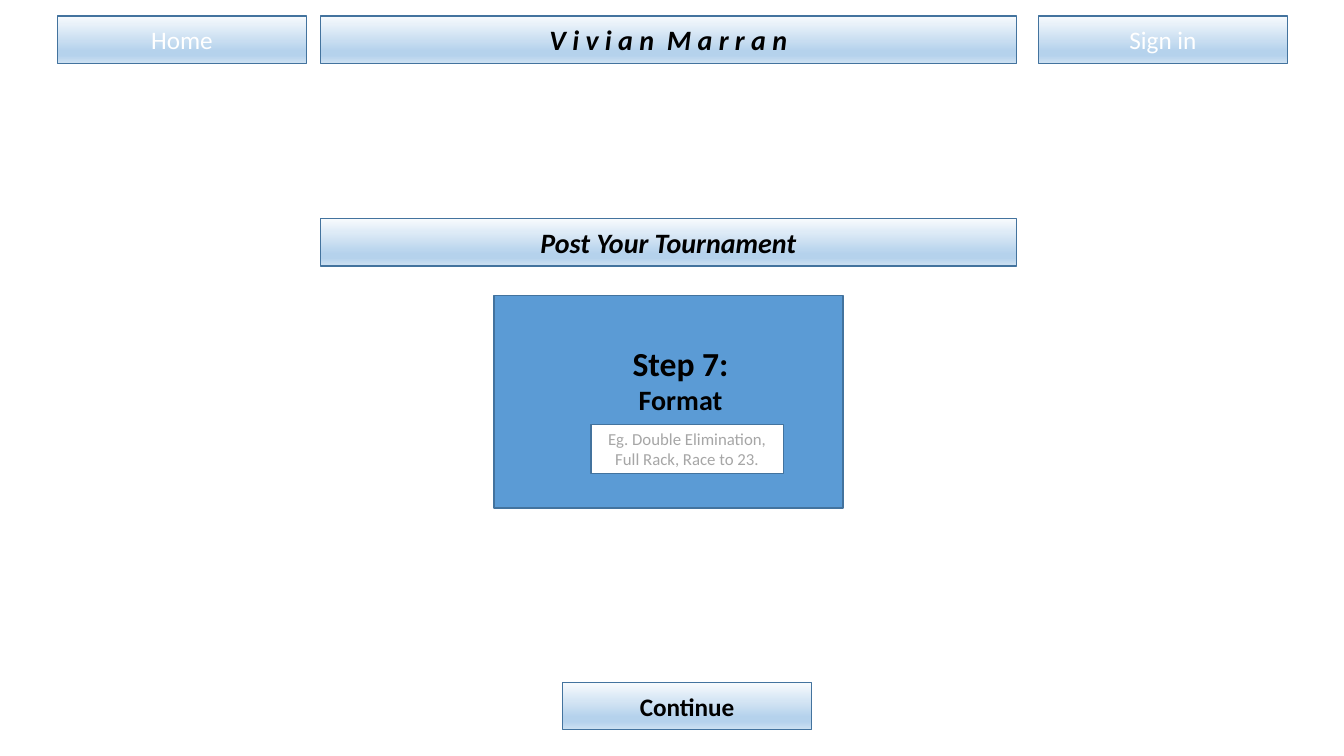
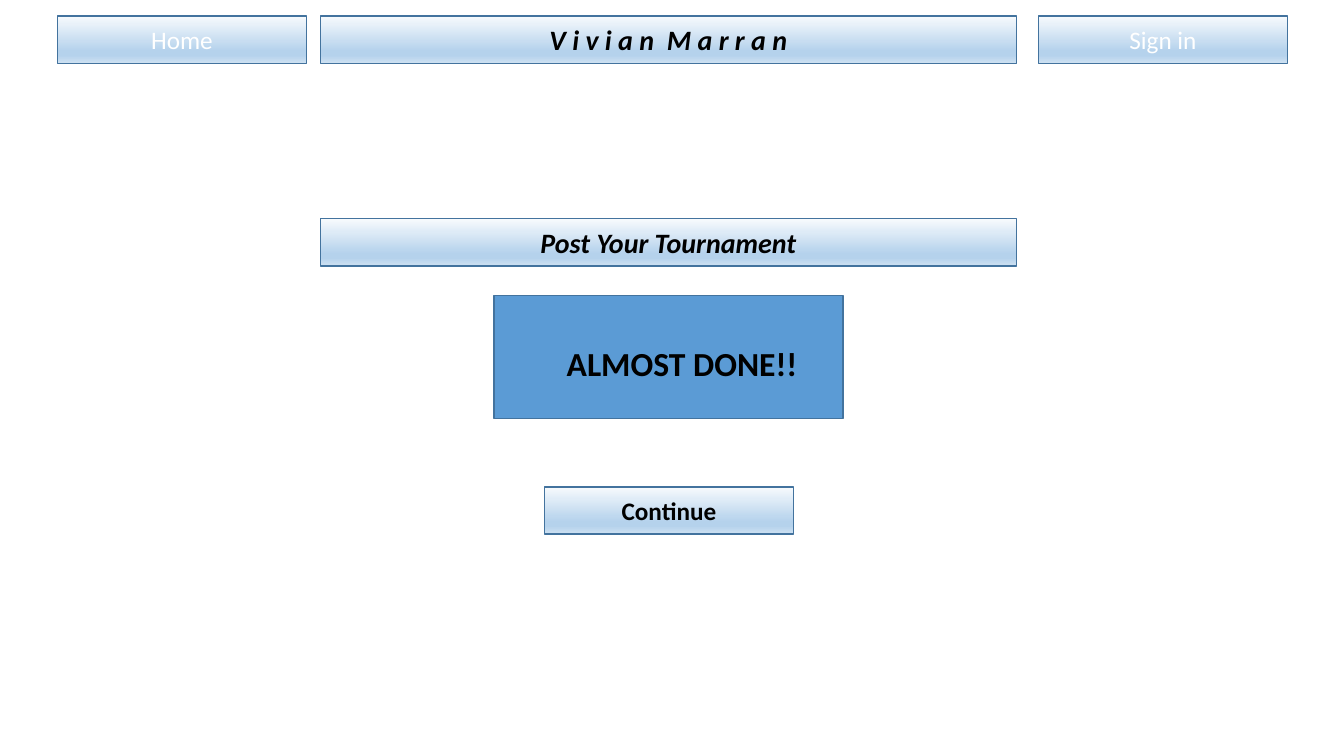
from lxml import etree
from pptx import Presentation
from pptx.dml.color import RGBColor
from pptx.enum.shapes import MSO_SHAPE
from pptx.enum.text import MSO_ANCHOR, MSO_AUTO_SIZE, PP_ALIGN
from pptx.oxml.ns import qn
from pptx.util import Inches, Pt

RECTANGLE = MSO_SHAPE.RECTANGLE
CENTER = PP_ALIGN.CENTER
MIDDLE, TOP = MSO_ANCHOR.MIDDLE, MSO_ANCHOR.TOP
GROW = MSO_AUTO_SIZE.SHAPE_TO_FIT_TEXT

FONT = "Calibri"
COLORS = {
    "panel": "5B9BD5",
    "border": "43739E",
    "white": "FFFFFF",
    "black": "000000",
    "hint": "A6A6A6",
}
BAR_GRADIENT = [(0, "F7FAFD"), (74, "B5D2EC"), (83, "B5D2EC"), (100, "CEE1F2")]

# Text styles: size, colour, bold, italic
STYLES = {
    "nav": (18, "white", False, False),
    "title": (20, "black", True, True),
    "button": (18, "black", True, False),
    "heading": (24, "black", True, False),
    "subheading": (20, "black", True, False),
    "hint": (12, "hint", False, False),
}

# Shared layout, in inches
BAR_HEIGHT = 0.47
BUTTON_WIDTH = 2.47
TITLE_LEFT, TITLE_WIDTH = 3.18, 6.9
HEADER_TOP, SECTION_TOP = 0.16, 2.17
PANEL_LEFT, PANEL_TOP, PANEL_WIDTH = 4.9, 2.93, 3.46
MESSAGE_TOP = 3.35

# Bars on every slide: text, style, left, top, width
SHARED_BARS = [
    ("Home", "nav", 0.57, HEADER_TOP, BUTTON_WIDTH),
    ("V i v i a n  M a r r a n", "title", TITLE_LEFT, HEADER_TOP, TITLE_WIDTH),
    ("Sign in", "nav", 10.3, HEADER_TOP, BUTTON_WIDTH),
    ("Post Your Tournament", "title", TITLE_LEFT, SECTION_TOP, TITLE_WIDTH),
]

# Message and hint positions: left, width, height / left, top, width, height
SLIDES = [
    {
        "panel_height": 2.11,
        "hint": ("Eg. Double Elimination, Full Rack, Race to 23.",
                 (5.86, 4.21, 1.91, 0.49)),
        "message": [("Step 7:", "heading"), ("Format", "subheading")],
        "message_box": (5.6, 2.3, 1.14),
        "continue_at": (5.58, 6.77),
    },
    {
        "panel_height": 1.22,
        "hint": None,
        "message": [("ALMOST DONE!!", "heading")],
        "message_box": (5.49, 2.55, 0.81),
        "continue_at": (5.4, 4.83),
    },
]


def color(name):
    return RGBColor.from_string(COLORS[name])


def write_text(shape, lines, anchor=MIDDLE):
    frame = shape.text_frame
    frame.word_wrap = True
    frame.vertical_anchor = anchor
    for index, (text, style) in enumerate(lines):
        paragraph = frame.add_paragraph() if index else frame.paragraphs[0]
        paragraph.alignment = CENTER
        run = paragraph.add_run()
        run.text = text
        size, color_name, bold, italic = STYLES[style]
        run.font.name = FONT
        run.font.size = Pt(size)
        run.font.bold = bold
        run.font.italic = italic
        run.font.color.rgb = color(color_name)


def add_box(slide, left, top, width, height, fill=None):
    shape = slide.shapes.add_shape(
        RECTANGLE, Inches(left), Inches(top), Inches(width), Inches(height))
    shape.shadow.inherit = False
    shape.line.color.rgb = color("border")
    shape.line.width = Pt(1)
    if fill:
        shape.fill.solid()
        shape.fill.fore_color.rgb = color(fill)
    return shape


def add_bar(slide, text, style, left, top, width):
    bar = add_box(slide, left, top, width, BAR_HEIGHT)
    bar.fill.gradient()
    bar.fill.gradient_angle = 270
    # Replace the default stops with the four of the bar
    stops = bar._element.spPr.find(".//" + qn("a:gsLst"))
    for stop in list(stops):
        stops.remove(stop)
    for percent, value in BAR_GRADIENT:
        stop = etree.SubElement(stops, qn("a:gs"), pos=str(percent * 1000))
        etree.SubElement(stop, qn("a:srgbClr"), val=value)
    write_text(bar, [(text, style)])


def add_message(slide, lines, left, width, height):
    box = slide.shapes.add_textbox(
        Inches(left), Inches(MESSAGE_TOP), Inches(width), Inches(height))
    write_text(box, lines, TOP)
    box.text_frame.auto_size = GROW


def build_slide(presentation, content):
    slide = presentation.slides.add_slide(presentation.slide_layouts[6])
    # Panel behind the message
    add_box(slide, PANEL_LEFT, PANEL_TOP, PANEL_WIDTH,
            content["panel_height"], "panel")
    # Header and section title
    for bar in SHARED_BARS:
        add_bar(slide, *bar)
    # Input field and message
    if content["hint"]:
        text, position = content["hint"]
        field = add_box(slide, *position, fill="white")
        write_text(field, [(text, "hint")])
    add_message(slide, content["message"], *content["message_box"])
    # Button to the next step
    add_bar(slide, "Continue", "button", *content["continue_at"], BUTTON_WIDTH)


def main():
    presentation = Presentation()
    presentation.slide_width = Inches(13.33)
    presentation.slide_height = Inches(7.5)
    for content in SLIDES:
        build_slide(presentation, content)
    presentation.save("out.pptx")


if __name__ == "__main__":
    main()
